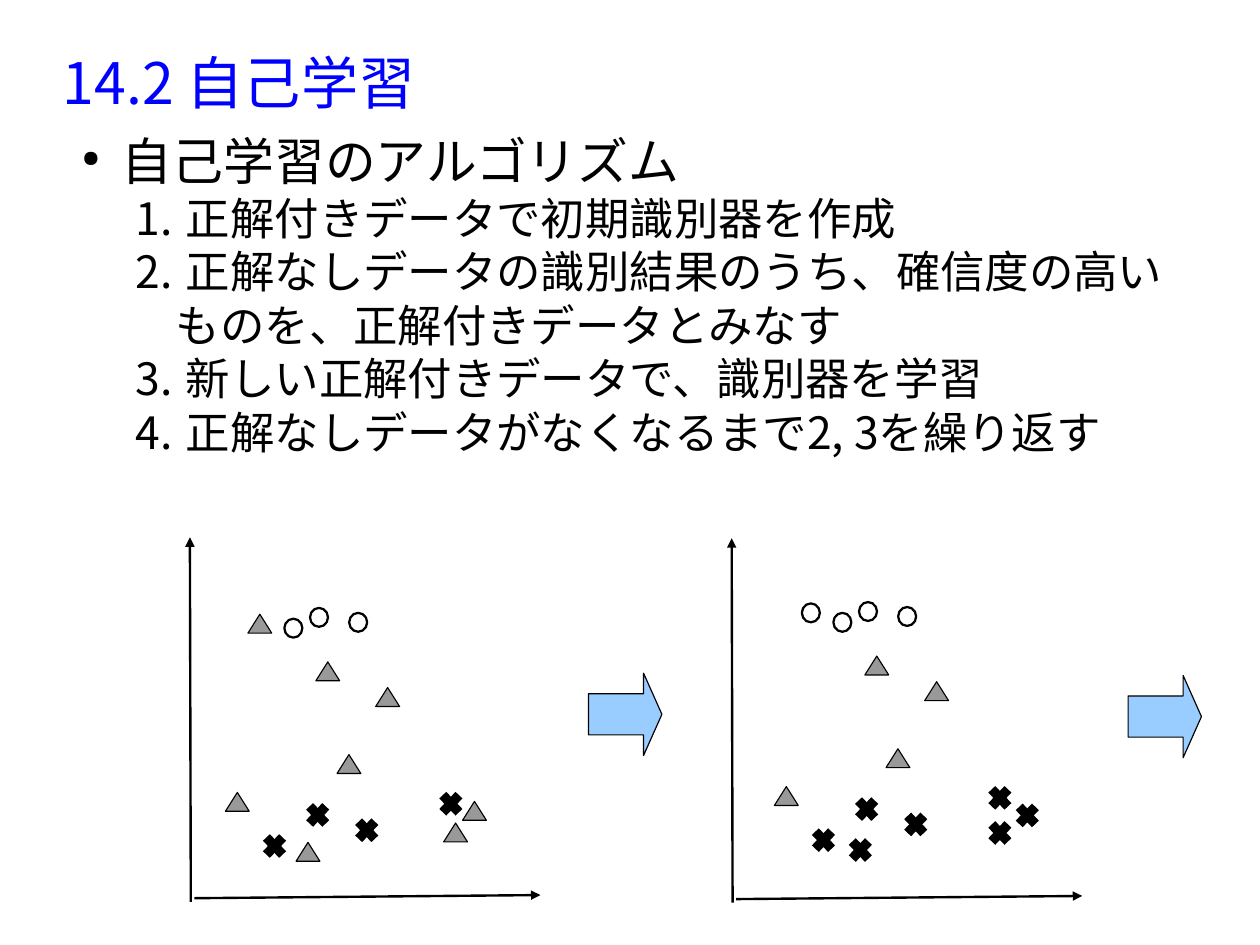
from pptx import Presentation
from pptx.dml.color import RGBColor as Rgb
from pptx.enum.shapes import MSO_CONNECTOR as Link, MSO_SHAPE as Form
from pptx.enum.text import MSO_ANCHOR as Anchor
from pptx.oxml.ns import qn
from pptx.util import Cm, Pt
from lxml.etree import SubElement as Sub

# Content
TITLE = "14.2 自己学習"
HEAD = "自己学習のアルゴリズム"
STEPS = [
    " 正解付きデータで初期識別器を作成",
    " 正解なしデータの識別結果のうち、確信度の高いものを、正解付きデータとみなす",
    " 新しい正解付きデータで、識別器を学習",
    " 正解なしデータがなくなるまで2, 3を繰り返す",
]

# Sample centres in cm, measured on the left plot
BOTH = {
    "tri": [(5.27, 17.82), (7.75, 16.98), (7.28, 14.92), (8.61, 15.49)],
    "ring": [(6.52, 13.96), (7.96, 13.83), (7.09, 13.72)],
    "cross": [(6.1, 18.8), (7.06, 18.11), (8.15, 18.45), (10.02, 17.86)],
}
BEFORE = {"tri": [(6.84, 18.93), (10.12, 18.5), (10.54, 18.02), (5.77, 13.86)]}
AFTER = {
    "cross": [(10.63, 18.25), (10.02, 18.64), (6.92, 19.02)],
    "ring": [(5.82, 13.75)],
}
AXES = [((4.24, 20.04), (4.22, 11.94)), ((4.32, 19.96), (12.01, 19.89))]
ARROW = (13.08, 14.96, 1.63, 1.83)

# Each plot: its new samples, then the shifts of samples, axes and arrow
PLOTS = [
    (BEFORE, (0, 0), (0, 0), (0, 0)),
    (AFTER, (12.2, -0.13), (12.04, 0.02), (11.99, 0.05)),
]

THEME = {
    "font": "Noto Sans CJK JP",
    "blue": "0000FF", "ink": "000000", "gray": "999999", "sky": "99CCFF",
    "title": 36, "head": 32, "step": 28,
}

prs = Presentation()
prs.slide_width, prs.slide_height = Cm(28), Cm(21)
slide = prs.slides.add_slide(prs.slide_layouts[6])


def box(x, y, w, h, anchor=Anchor.TOP):
    frame = slide.shapes.add_textbox(Cm(x), Cm(y), Cm(w), Cm(h)).text_frame
    frame.word_wrap = True
    frame.vertical_anchor = anchor
    frame.margin_left = frame.margin_right = 0
    frame.margin_top = frame.margin_bottom = 0
    return frame


def write(para, text, size, color="ink", pitch=None):
    run = para.add_run()
    run.text = text
    font = run.font
    font.size = Pt(THEME[size])
    font.color.rgb = Rgb.from_string(THEME[color])
    font.name = THEME["font"]
    Sub(font._element, qn("a:ea"), typeface=THEME["font"])
    if pitch:
        para.line_spacing = Pt(pitch)


def mark(para, left, tag, scale=100, **attrs):
    props = para._p.get_or_add_pPr()
    props.set("marL", str(Cm(left)))
    props.set("indent", str(Cm(-0.89)))
    tint = Sub(props, qn("a:buClr"))
    Sub(tint, qn("a:srgbClr"), val=THEME["ink"])
    Sub(props, qn("a:buSzPct"), val=str(scale * 1000))
    Sub(props, qn(tag), **attrs)


def line(shapes, start, end, width, tip=False):
    ends = [Cm(n) for n in (*start, *end)]
    link = shapes.add_connector(Link.STRAIGHT, *ends)
    link.line.width = Pt(width)
    link.line.color.rgb = Rgb.from_string(THEME["ink"])
    if tip:
        Sub(link.line._get_or_add_ln(), qn("a:tailEnd"), type="triangle")
    Sub(link._element.spPr, qn("a:effectLst"))


def shape(form, x, y, w, h, width, fill=None):
    item = slide.shapes.add_shape(form, Cm(x), Cm(y), Cm(w), Cm(h))
    item.shadow.inherit = False
    if fill:
        item.fill.solid()
        item.fill.fore_color.rgb = Rgb.from_string(THEME[fill])
    else:
        item.fill.background()
    item.line.color.rgb = Rgb.from_string(THEME["ink"])
    item.line.width = Pt(width)
    return item


def sample(kind, x, y):
    if kind == "tri":
        shape(Form.ISOSCELES_TRIANGLE, x - 0.26, y - 0.21, 0.53, 0.42, 0.71, "gray")
    elif kind == "ring":
        shape(Form.OVAL, x - 0.2, y - 0.21, 0.4, 0.42, 1.42)
    else:
        pair = slide.shapes.add_group_shape().shapes
        for side in (1, -1):
            dx = 0.18 * side
            line(pair, (x + dx, y - 0.19), (x - dx, y + 0.19), 6)


# Title and algorithm
write(box(1.4, 0.74, 25.2, 2.16, Anchor.MIDDLE).paragraphs[0],
      TITLE, "title", color="blue")
body = box(1.52, 2.77, 25.2, 9)
para = body.paragraphs[0]
write(para, HEAD, "head", pitch=41.5)
mark(para, 1.19, "a:buChar", scale=45, char="●")
for step in STEPS:
    para = body.add_paragraph()
    para.level = 1
    write(para, step, "step", pitch=33.7)
    mark(para, 2.39, "a:buAutoNum", type="arabicPeriod")

# Plots with their axes, arrow and samples
for fresh, (sx, sy), (ax, ay), (bx, by) in PLOTS:
    for (x1, y1), (x2, y2) in AXES:
        line(slide.shapes, (x1 + ax, y1 + ay), (x2 + ax, y2 + ay), 1.5, tip=True)
    x, y, w, h = ARROW
    arrow = shape(Form.RIGHT_ARROW, x + bx, y + by, w, h, 0, "sky")
    arrow.adjustments[0], arrow.adjustments[1] = 0.5, 0.25
    for group in (BOTH, fresh):
        for kind, spots in group.items():
            for x, y in spots:
                sample(kind, x + sx, y + sy)

prs.save("out.pptx")
